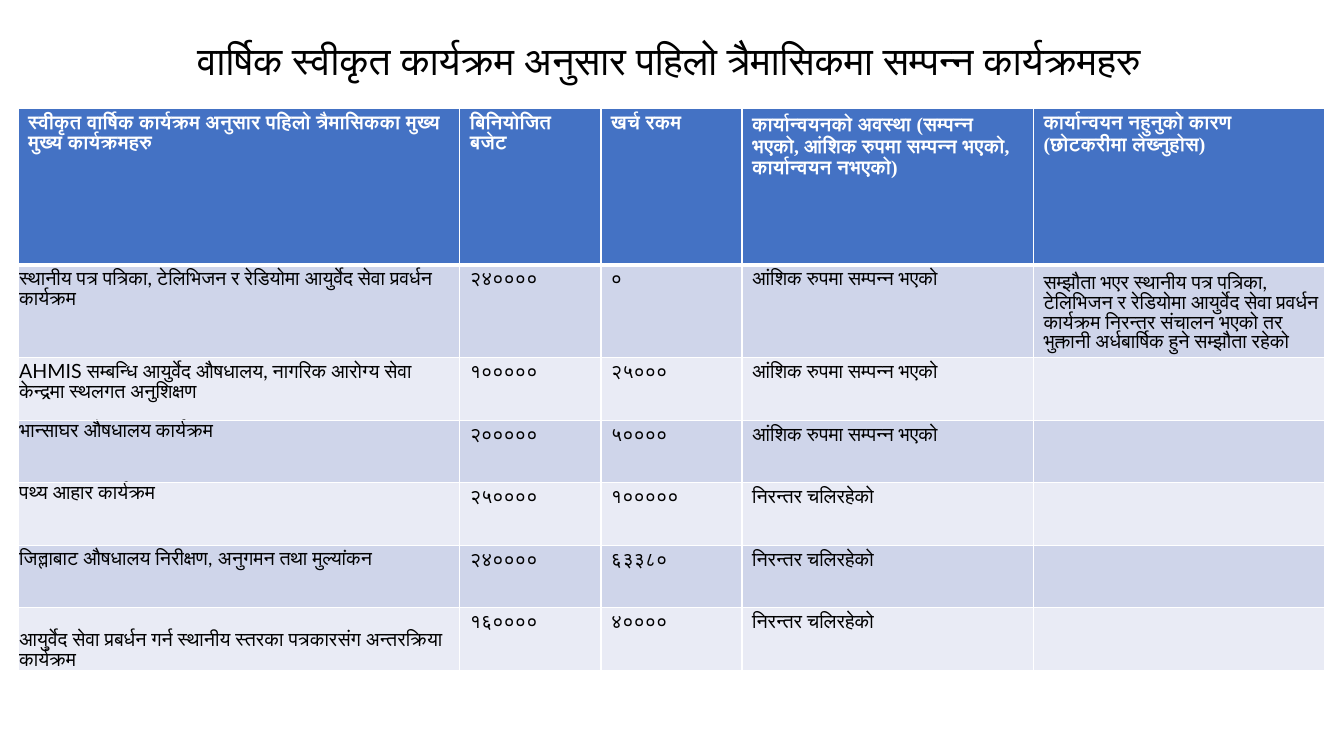
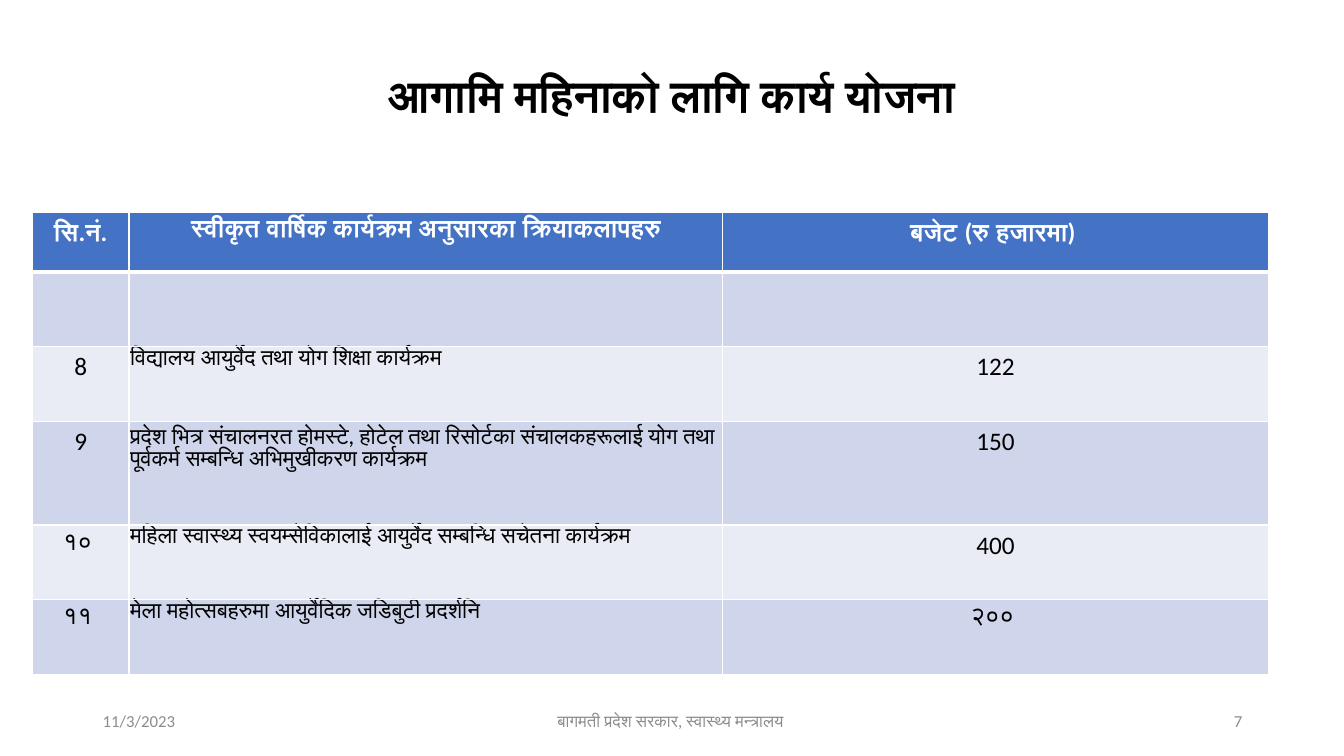
from lxml import etree
from pptx import Presentation
from pptx.dml.color import RGBColor
from pptx.enum.lang import MSO_LANGUAGE_ID
from pptx.enum.text import MSO_ANCHOR, PP_ALIGN
from pptx.oxml.ns import qn
from pptx.util import Inches, Pt

LEFT, CENTER, RIGHT = PP_ALIGN.LEFT, PP_ALIGN.CENTER, PP_ALIGN.RIGHT
MIDDLE, BOTTOM = MSO_ANCHOR.MIDDLE, MSO_ANCHOR.BOTTOM
NEPALI = MSO_LANGUAGE_ID.NEPALI
BLACK, WHITE, GRAY = "000000", "FFFFFF", "8C8C8C"
HEADER_FILL, BAND_FILLS = "4472C4", ("CFD5EA", "E9EBF5")
SANS, SERIF, LATO = "Calibri", "Times New Roman", "Lato"
TITLE_ONLY = 5
TIGHT = (0.01, 0.01, 0.01, 0)
WIDE = (0.1, 0.05, 0, 0.05)

PARTIAL = "आंशिक रुपमा सम्पन्\u200dन भएको"
ONGOING = "निरन्तर चलिरहेको"
PROGRESS_TITLE = ("वार्षिक स्वीकृत कार्यक्रम अनुसार पहिलो त्रैमासिकमा "
                  "सम्पन्\u200dन कार्यक्रमहरु")
PROGRESS_ROWS = [
    ["स्वीकृत वार्षिक कार्यक्रम अनुसार पहिलो त्रैमासिकका मुख्य मुख्य कार्यक्रमहरु",
     "बिनियोजित बजेट", "खर्च रकम",
     "कार्यान्वयनको अवस्था (सम्पन्\u200dन भएको, आंशिक रुपमा सम्पन्\u200dन भएको, "
     "कार्यान्वयन नभएको)",
     "कार्यान्वयन नहुनुको कारण (छोटकरीमा लेख्\u200dनुहोस)"],
    ["स्थानीय पत्र पत्रिका, टेलिभिजन र रेडियोमा आयुर्वेद सेवा प्रवर्धन कार्यक्रम",
     "२४००००", "० ", PARTIAL,
     [("सम्झौता भएर ", SANS),
      ("स्थानीय पत्र पत्रिका, टेलिभिजन र रेडियोमा आयुर्वेद सेवा प्रवर्धन कार्यक्रम "
       "निरन्तर संचालन भएको तर भुक्तानी अर्धबार्षिक हुने सम्झौता रहेको ", LATO)]],
    ["AHMIS सम्बन्धि आयुर्वेद औषधालय, नागरिक आरोग्य सेवा केन्द्रमा स्थलगत अनुशिक्षण",
     "१०००००", "२५०००", PARTIAL, ""],
    ["भान्साघर औषधालय कार्यक्रम", "२०००००", "५०००० ", PARTIAL, ""],
    ["पथ्य आहार कार्यक्रम", "२५००००", "१००००० ", ONGOING, ""],
    [[("जिल्लाबाट औषधालय निरीक्षण", LATO), (",", SANS),
      (" अनुगमन तथा मुल्यांकन ", LATO)], "२४०००० ", "६३३८० ", ONGOING, ""],
    ["आयुर्वेद सेवा प्रबर्धन गर्न स्थानीय स्तरका पत्रकारसंग अन्तरक्रिया कार्यक्रम ",
     "१६०००० ", "४०००० ", ONGOING, ""],
]

PLAN_TITLE = "आगामि महिनाको लागि कार्य योजना"
PLAN_ROWS = [
    ["सि.नं.", "स्वीकृत वार्षिक कार्यक्रम अनुसारका क्रियाकलापहरु", "बजेट (रु हजारमा) "],
    ["", "", ""],
    ["8", "विद्यालय आयुर्वेद तथा योग शिक्षा कार्यक्रम", "122"],
    ["9", "प्रदेश भित्र संचालनरत होमस्टे, होटेल तथा रिसोर्टका संचालकहरूलाई योग तथा "
     "पूर्वकर्म सम्बन्धि अभिमुखीकरण कार्यक्रम", "150"],
    ["१० ", "महिला स्वास्थ्य स्वयम्सेविकालाई आयुर्वेद सम्बन्धि सचेतना कार्यक्रम", "400"],
    ["११ ", "मेला महोत्सबहरुमा आयुर्वेदिक जडिबुटी प्रदर्शनि ", "२०० "],
]


def color(value):
    """Turn a hex string into a colour."""
    return RGBColor.from_string(value)


def write(frame, spans, size, ink=BLACK, bold=False, align=LEFT):
    """Fill the first paragraph with (text, font) spans and return it."""
    para = frame.paragraphs[0]
    para.alignment = align
    for text, face in spans:
        span = para.add_run()
        span.text = text
        span.font.name, span.font.size, span.font.bold = face, Pt(size), bold
        span.font.color.rgb = color(ink)
        if face == LATO:
            span.font.language_id = NEPALI
    return para


def add_title_slide(deck, box, text, face, size, bold=False, anchor=MIDDLE):
    """Add a title-only slide; return it and the title paragraph."""
    slide = deck.slides.add_slide(deck.slide_layouts[TITLE_ONLY])
    title = slide.shapes.title
    title.left, title.top, title.width, title.height = map(Inches, box)
    title.text_frame.word_wrap = True
    title.text_frame.vertical_anchor = anchor
    return slide, write(title.text_frame, [(text, face)], size, bold=bold, align=CENTER)


def underline_cell(cell, points):
    """Draw a white rule along the bottom edge of a cell."""
    edge = etree.Element(qn("a:lnB"), w=str(Pt(points)))
    fill = etree.SubElement(edge, qn("a:solidFill"))
    etree.SubElement(fill, qn("a:srgbClr"), val=WHITE)
    cell._tc.get_or_add_tcPr().insert(0, edge)


def add_banded_table(slide, left, top, widths, heights, rows, header, columns):
    """Place a table; header is (font, size, align), columns add cell margins."""
    table = slide.shapes.add_table(
        len(rows), len(widths), Inches(left), Inches(top),
        Inches(sum(widths)), Inches(sum(heights))).table
    for column, width in zip(table.columns, widths):
        column.width = Inches(width)
    for index, (row, height) in enumerate(zip(rows, heights)):
        table.rows[index].height = Inches(height)
        for number, content in enumerate(row):
            cell = table.cell(index, number)
            cell.fill.solid()
            face, size, align, margins = columns[number]
            if index == 0:
                face, size, align = header
                fill, ink = HEADER_FILL, WHITE
                underline_cell(cell, 3)
            else:
                fill, ink = BAND_FILLS[(index - 1) % 2], BLACK
                if margins and content:
                    (cell.margin_left, cell.margin_top,
                     cell.margin_right, cell.margin_bottom) = map(Inches, margins)
            cell.fill.fore_color.rgb = color(fill)
            if content:
                spans = [(content, face)] if isinstance(content, str) else content
                write(cell.text_frame, spans, size, ink, index == 0, align)
    return table


def add_footer(slide, top, date, owner, number):
    """Place date, owner and page number along the bottom."""
    for left, width, text, align in ((0.92, 3, date, LEFT), (4.42, 4.5, owner, CENTER),
                                     (9.42, 3, number, RIGHT)):
        box = slide.shapes.add_textbox(Inches(left), Inches(top), Inches(width), Inches(0.4))
        box.text_frame.word_wrap = True
        box.text_frame.vertical_anchor = MIDDLE
        write(box.text_frame, [(text, SANS)], 12, GRAY, align=align)


def add_progress_slide(deck):
    """Add the first-quarter progress table."""
    slide, para = add_title_slide(deck, (1.22, 0.17, 10.83, 0.91), PROGRESS_TITLE, SANS, 28)
    para.line_spacing = 0.9
    number = (SANS, 14, LEFT, None)
    columns = [(LATO, 14, LEFT, TIGHT), number, number,
               (SERIF, 14, LEFT, None), (LATO, 14, LEFT, WIDE)]
    table = add_banded_table(
        slide, 0.18, 1.08, [4.38, 1.4, 1.4, 2.89, 2.89], [1.55, 0.92] + [0.62] * 5,
        PROGRESS_ROWS, (SERIF, 14, LEFT), columns)
    table.cell(len(PROGRESS_ROWS) - 1, 0).vertical_anchor = BOTTOM


def add_plan_slide(deck):
    """Add next month's work plan with its footer."""
    slide, para = add_title_slide(deck, (1.33, 0.61, 10.67, 0.65), PLAN_TITLE, SERIF, 32,
                                  bold=True, anchor=BOTTOM)
    slide.shapes.title.fill.solid()
    slide.shapes.title.fill.fore_color.rgb = color(WHITE)
    para.line_spacing = 0.85
    para.space_before = para.space_after = Pt(8)
    para.runs[0].font._element.set("spc", "-50")
    number = (SANS, 18, CENTER, None)
    add_banded_table(
        slide, 0.32, 2.11, [0.96, 5.89, 5.41], [0.59, 0.74, 0.74, 1.03, 0.74, 0.74],
        PLAN_ROWS, (SANS, 18, CENTER), [number, (LATO, 16, LEFT, TIGHT), number])
    add_footer(slide, 6.95, "11/3/2023", "बागमती प्रदेश सरकार, स्वास्थ्य मन्त्रालय ", "7")


deck = Presentation()
deck.slide_width, deck.slide_height = Inches(13.33), Inches(7.5)
add_progress_slide(deck)
add_plan_slide(deck)
deck.save("out.pptx")
